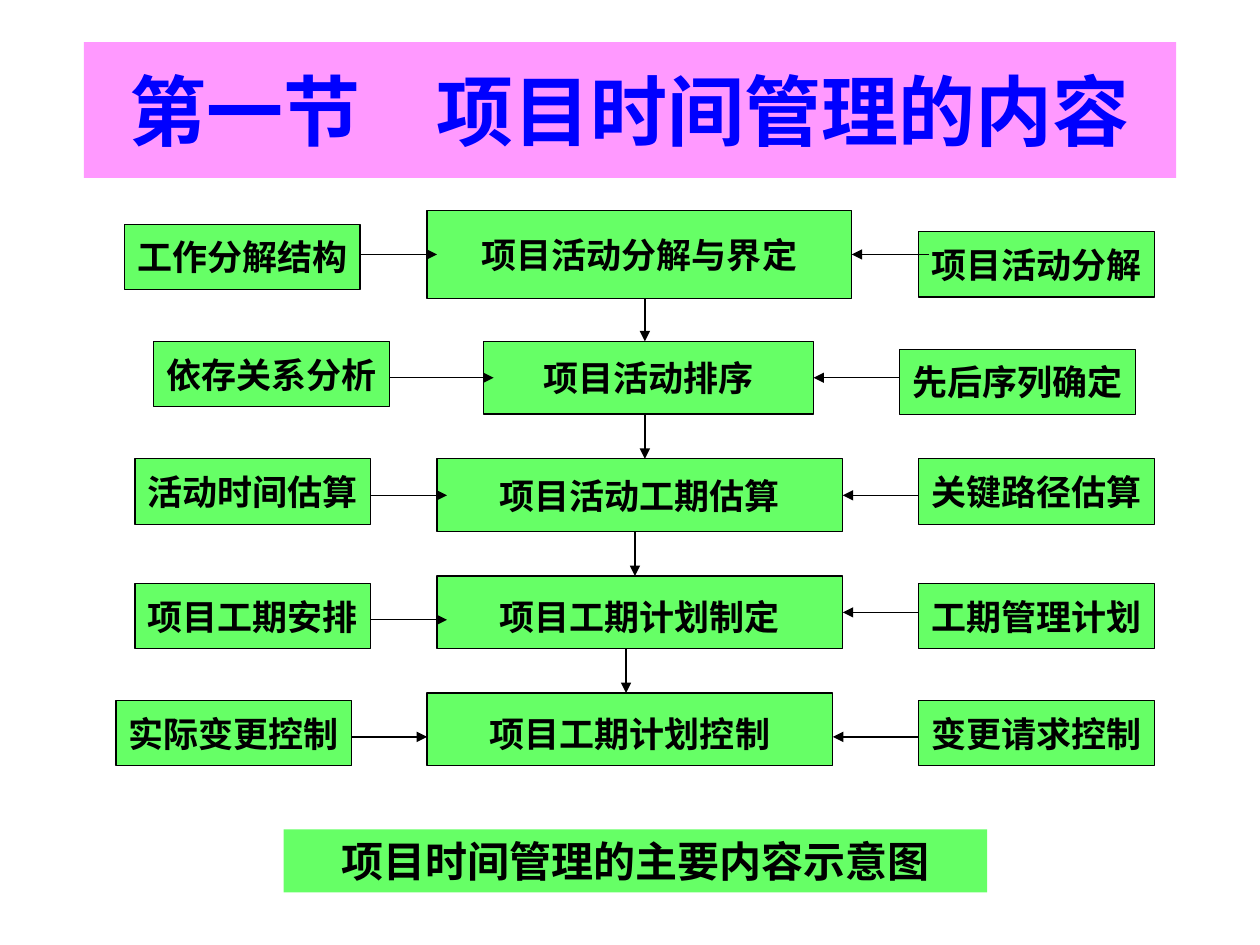
from dataclasses import dataclass
from itertools import pairwise
from typing import Optional

from lxml.etree import SubElement
from pptx import Presentation
from pptx.dml.color import RGBColor
from pptx.enum.shapes import MSO_CONNECTOR as Connector, MSO_SHAPE as Shape
from pptx.enum.text import MSO_ANCHOR as Anchor, PP_ALIGN as Align
from pptx.oxml.ns import qn
from pptx.util import Cm, Pt


@dataclass(frozen=True)
class Theme:
    font: str = "Times New Roman"
    ink: RGBColor = RGBColor(0x00, 0x00, 0x00)
    green: RGBColor = RGBColor(0x66, 0xFF, 0x66)
    pink: RGBColor = RGBColor(0xFF, 0x99, 0xFF)
    blue: RGBColor = RGBColor(0x00, 0x00, 0xFF)
    title_size: int = 44
    caption_size: int = 24
    box_size: int = 20
    line_width: float = 0.75


@dataclass(frozen=True)
class Block:
    """A rectangle with one line of text; lengths in centimetres."""
    text: str
    left: float
    top: float
    width: float
    height: float
    line_spacing: Optional[float] = None

    @property
    def right(self) -> float:
        return self.left + self.width

    @property
    def bottom(self) -> float:
        return self.top + self.height

    @property
    def middle(self) -> float:
        return self.top + self.height / 2


@dataclass(frozen=True)
class Stage:
    """A process step with its input on the left and its result on the right."""
    step: Block
    source: Block
    result: Block
    source_drop: float = 0  # arrow height below the step's middle
    result_drop: float = 0
    source_overlap: float = 0.2  # how far the arrow runs into the step
    result_overlap: float = 0  # how far the arrow starts inside the result


THEME = Theme()
SIDE_WIDTH, SIDE_HEIGHT = 4.75, 1.32
STEP_WIDTH, STEP_HEIGHT = 8.18, 1.47
RIGHT_COLUMN = 18.52


def side(text: str, left: float, top: float) -> Block:
    return Block(text, left, top, SIDE_WIDTH, SIDE_HEIGHT)


STAGES = [
    Stage(Block("项目活动分解与界定", 8.61, 4.24, 8.56, 1.78),
          side("工作分解结构", 2.51, 4.52),
          side("项目活动分解", RIGHT_COLUMN, 4.67), result_overlap=0.2),
    Stage(Block("项目活动排序", 9.75, 6.88, 6.65, STEP_HEIGHT),
          side("依存关系分析", 3.1, 6.88),
          side("先后序列确定", 18.14, 7.04)),
    Stage(Block("项目活动工期估算", 8.81, 9.25, STEP_WIDTH, STEP_HEIGHT),
          side("活动时间估算", 2.72, 9.25),
          side("关键路径估算", RIGHT_COLUMN, 9.25)),
    Stage(Block("项目工期计划制定", 8.81, 11.61, STEP_WIDTH, STEP_HEIGHT, 1.2),
          side("项目工期安排", 2.72, 11.76),
          side("工期管理计划", RIGHT_COLUMN, 11.76), source_drop=0.15),
    Stage(Block("项目工期计划控制", 8.61, 13.97, STEP_WIDTH, STEP_HEIGHT, 1.2),
          side("实际变更控制", 2.34, 14.12),
          side("变更请求控制", RIGHT_COLUMN, 14.12),
          source_drop=0.15, result_drop=0.15, source_overlap=0),
]
DOWN_ARROW_LEFTS = [13.0, 13.0, 12.8, 12.62]
TITLE = Block("第一节　项目时间管理的内容", 1.69, 0.85, 22.02, 2.74)
CAPTION = Block("项目时间管理的主要内容示意图", 5.72, 16.72, 14.18, 1.27)


def draw_block(page, block: Block, fill: RGBColor, size: int, color: RGBColor,
               outlined: bool = False, wrap: bool = True,
               anchor: Anchor = Anchor.MIDDLE):
    box = page.shapes.add_shape(Shape.RECTANGLE, Cm(block.left), Cm(block.top),
                                Cm(block.width), Cm(block.height))
    box.shadow.inherit = False
    box.fill.solid()
    box.fill.fore_color.rgb = fill
    if outlined:
        box.line.color.rgb = THEME.ink
        box.line.width = Pt(THEME.line_width)
    else:
        box.line.fill.background()
    frame = box.text_frame
    frame.word_wrap = wrap
    frame.vertical_anchor = anchor
    para = frame.paragraphs[0]
    para.alignment = Align.CENTER
    if block.line_spacing:
        para.line_spacing = block.line_spacing
    span = para.add_run()
    span.text = block.text
    span.font.name = THEME.font
    span.font.size = Pt(size)
    span.font.bold = True
    span.font.color.rgb = color
    return box


def draw_step(page, block: Block):
    return draw_block(page, block, THEME.green, THEME.box_size, THEME.ink,
                      outlined=True, wrap=False)


def draw_arrow(page, x1: float, y1: float, x2: float, y2: float):
    arrow = page.shapes.add_connector(Connector.STRAIGHT,
                                      Cm(x1), Cm(y1), Cm(x2), Cm(y2))
    arrow.line.color.rgb = THEME.ink
    arrow.line.width = Pt(THEME.line_width)
    SubElement(arrow.line._get_or_add_ln(), qn("a:tailEnd"), type="triangle")
    SubElement(arrow._element.spPr, qn("a:effectLst"))
    return arrow


def draw_stage(page, stage: Stage) -> None:
    step, source, result = stage.step, stage.source, stage.result
    step_box = draw_step(page, step)
    draw_step(page, source)
    draw_step(page, result)

    source_y = step.middle + stage.source_drop
    draw_arrow(page, source.right, source_y,
               step.left + stage.source_overlap, source_y)

    result_y = step.middle + stage.result_drop
    arrow = draw_arrow(page, result.left + stage.result_overlap, result_y,
                       step.right, result_y)
    if not stage.result_drop:
        arrow.end_connect(step_box, 3)


def main() -> None:
    deck = Presentation()
    deck.slide_width, deck.slide_height = Cm(25.4), Cm(19.05)
    page = deck.slides.add_slide(deck.slide_layouts[6])

    for stage in STAGES:
        draw_stage(page, stage)
    for x, (upper, lower) in zip(DOWN_ARROW_LEFTS, pairwise(STAGES)):
        draw_arrow(page, x, upper.step.bottom, x, lower.step.top)
    draw_block(page, CAPTION, THEME.green, THEME.caption_size, THEME.ink,
               anchor=Anchor.TOP)
    draw_block(page, TITLE, THEME.pink, THEME.title_size, THEME.blue)

    deck.save("out.pptx")


if __name__ == "__main__":
    main()
